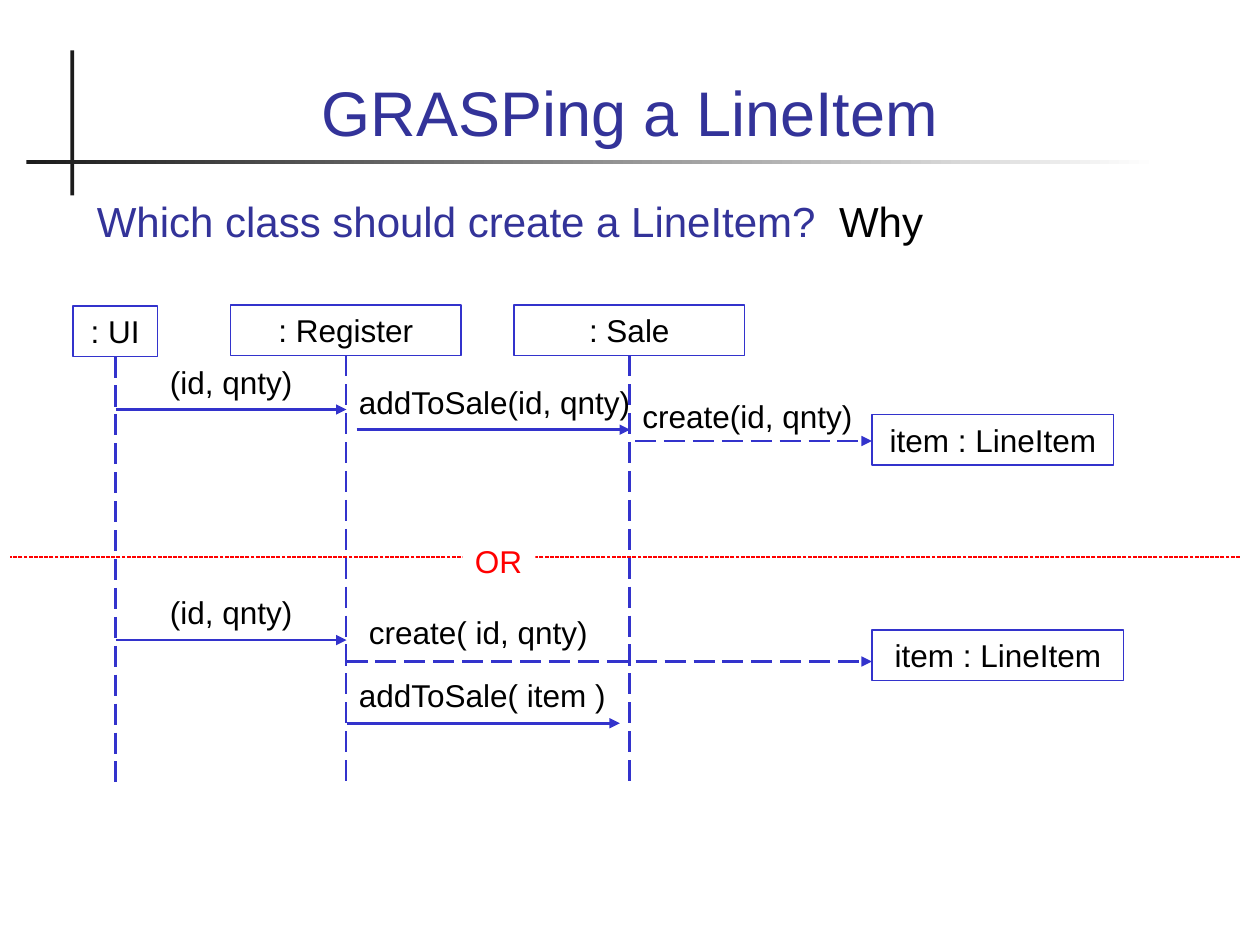
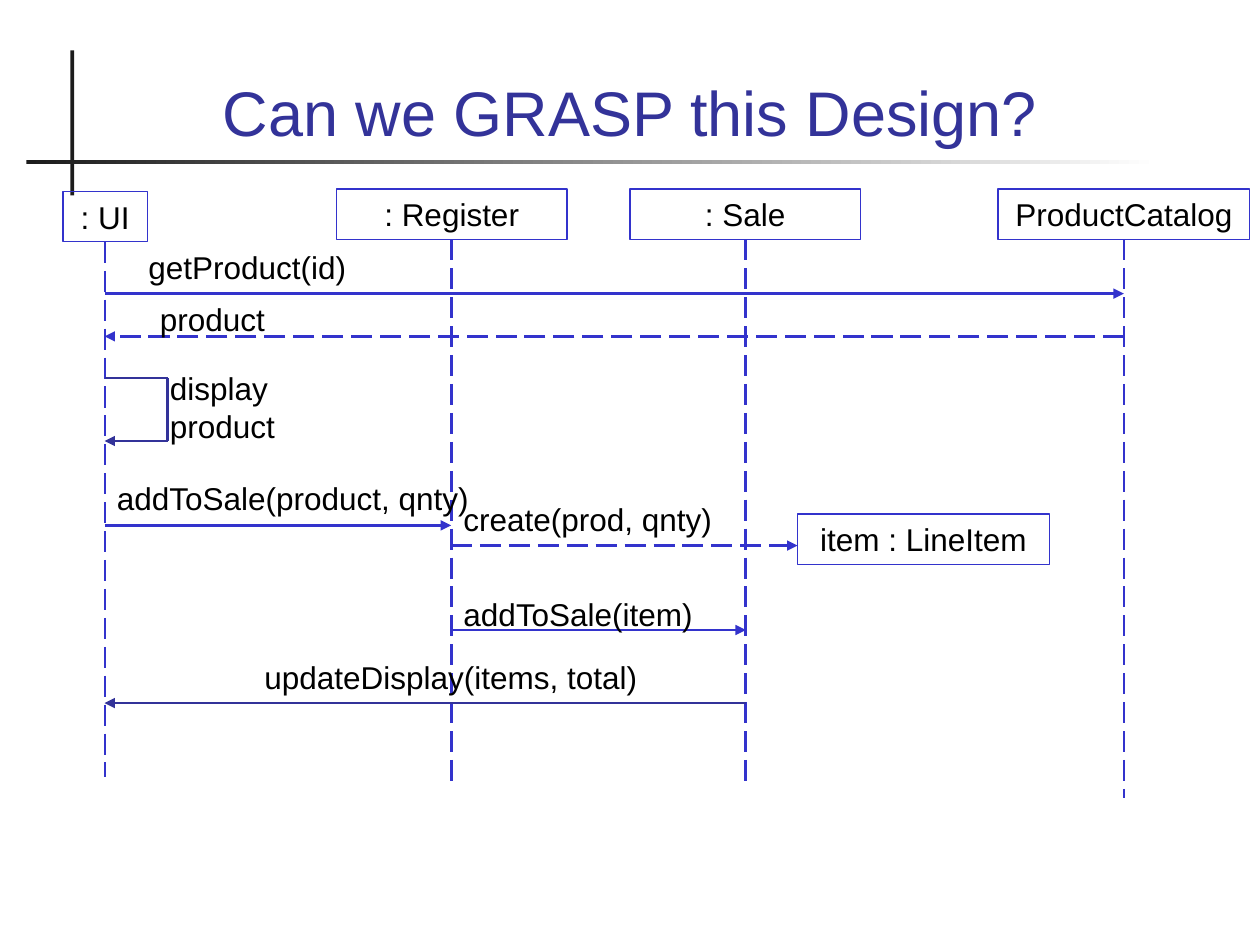
from lxml import etree
from pptx import Presentation
from pptx.dml.color import RGBColor
from pptx.enum.dml import MSO_LINE
from pptx.enum.shapes import MSO_CONNECTOR, MSO_SHAPE
from pptx.enum.text import MSO_ANCHOR, MSO_AUTO_SIZE, PP_ALIGN
from pptx.oxml.ns import qn
from pptx.util import Inches, Pt

NAVY = RGBColor(0x33, 0x33, 0x99)
BLUE = RGBColor(0x33, 0x33, 0xCC)
RED = RGBColor(0xFF, 0x00, 0x00)
BLACK = RGBColor(0x00, 0x00, 0x00)
WHITE = RGBColor(0xFF, 0xFF, 0xFF)
CHARCOAL = RGBColor(0x1C, 0x1C, 0x1C)

LEFT, CENTER = PP_ALIGN.LEFT, PP_ALIGN.CENTER
SOLID, DASH, FINE_DASH = MSO_LINE.SOLID, MSO_LINE.LONG_DASH, MSO_LINE.SQUARE_DOT
RECTANGLE, STRAIGHT = MSO_SHAPE.RECTANGLE, MSO_CONNECTOR.STRAIGHT
FONT = "Arial"
BOX_HEIGHT = 0.4

DIAGRAMS = [
    {
        "title": "GRASPing a LineItem",
        # text, left, top, width, end of lifeline
        "participants": [
            (": Register", 1.83, 2.42, 1.83, 6.23),
            (": Sale", 4.08, 2.42, 1.83, 6.24),
            (": UI", 0.58, 2.43, 0.67, 6.25),
        ],
        # text, left, top, width
        "created_items": [
            ("item : LineItem", 6.92, 3.29, 1.92),
            ("item : LineItem", 6.92, 5, 2),
        ],
        # start x, end x, y, dash, colour
        "messages": [
            (0.92, 2.75, 3.25, SOLID, BLUE),
            (2.83, 5, 3.41, SOLID, BLUE),
            (5.04, 6.92, 3.5, DASH, BLUE),
            (0.92, 2.75, 5.08, SOLID, BLUE),
            (2.75, 6.92, 5.25, DASH, BLUE),
            (2.75, 4.92, 5.74, SOLID, BLUE),
        ],
        # text, left, top, width
        "labels": [
            ("(id, qnty)", 1.25, 2.83, 1.33),
            ("addToSale(id, qnty)", 2.75, 2.99, 2.42),
            ("create(id, qnty)", 5, 3.1, 2.08),
            ("(id, qnty)", 1.25, 4.66, 1.33),
            ("create( id, qnty)", 2.83, 4.82, 2.08),
            ("addToSale( item )", 2.75, 5.32, 2.42),
        ],
    },
    {
        "title": "Can we GRASP this Design?",
        "participants": [
            (": Register", 2.67, 1.5, 1.83, 6.25),
            (": Sale", 5, 1.5, 1.83, 6.25),
            ("ProductCatalog", 7.92, 1.5, 2, 6.33),
            (": UI", 0.5, 1.52, 0.67, 6.17),
        ],
        "created_items": [("item : LineItem", 6.33, 4.08, 2)],
        "messages": [
            (0.83, 8.92, 2.33, SOLID, BLUE),
            (8.92, 0.83, 2.67, DASH, BLUE),
            (1.33, 0.83, 3.5, SOLID, NAVY),
            (0.83, 3.58, 4.17, SOLID, BLUE),
            (3.58, 6.33, 4.33, DASH, BLUE),
            (3.58, 5.92, 5, SOLID, BLUE),
            (5.92, 0.83, 5.58, SOLID, NAVY),
        ],
        "labels": [
            ("getProduct(id)", 1.08, 1.92, 1.83),
            ("product", 1.17, 2.33, 1.08),
            ("display product", 1.25, 2.88, 1.08),
            ("addToSale(product, qnty)", 0.83, 3.75, 3.07),
            ("create(prod, qnty)", 3.58, 3.92, 2.25),
            ("addToSale(item)", 3.58, 4.67, 2.08),
            ("updateDisplay(items, total)", 2, 5.17, 3.58),
        ],
    },
]


def add_box(slide, text, left, top, width, height=BOX_HEIGHT, align=CENTER,
            size=18, color=BLACK, outline=None):
    """Add a rectangle with one line of text and, if given, an outline colour."""
    box = slide.shapes.add_shape(RECTANGLE, Inches(left), Inches(top),
                                 Inches(width), Inches(height))
    box.shadow.inherit = False
    box.fill.background()
    if outline is None:
        box.line.fill.background()
    else:
        box.line.color.rgb = outline
        box.line.width = Pt(0.75)
    frame = box.text_frame
    frame.word_wrap = True
    frame.vertical_anchor = MSO_ANCHOR.TOP
    if align == LEFT:
        frame.margin_right = 0
    paragraph = frame.paragraphs[0]
    paragraph.alignment = align
    run = paragraph.add_run()
    run.text = text
    run.font.name, run.font.size = FONT, Pt(size)
    run.font.color.rgb = color
    return box


def add_line(slide, x1, y1, x2, y2, color=BLUE, dash=SOLID, width=1.5, arrow=False):
    line = slide.shapes.add_connector(STRAIGHT, Inches(x1), Inches(y1),
                                      Inches(x2), Inches(y2))
    line.line.color.rgb = color
    line.line.width = Pt(width)
    line.line.dash_style = dash
    if arrow:
        etree.SubElement(line.line._get_or_add_ln(), qn("a:tailEnd"), type="triangle")
    etree.SubElement(line._element.spPr, qn("a:effectLst"))


prs = Presentation()
prs.slide_width, prs.slide_height = Inches(10), Inches(7.5)
title_only = prs.slide_layouts[5]

slides = []
for diagram in DIAGRAMS:
    slide = prs.slides.add_slide(title_only)
    slides.append(slide)

    upright = add_box(slide, "", 0.56, 0.4, 0.03, 1.15)
    upright.fill.solid()
    upright.fill.fore_color.rgb = CHARCOAL
    rule = add_box(slide, "", 0.21, 1.27, 8.99, 0.03)
    rule.fill.gradient()
    rule.fill.gradient_angle = 0
    for stop, color in zip(rule.fill.gradient_stops, (CHARCOAL, WHITE)):
        stop.color.rgb = color

    title = slide.shapes.title
    title.left, title.top = Inches(0.67), Inches(0.28)
    title.width, title.height = Inches(8.66), Inches(0.95)
    title.text_frame.text = diagram["title"]
    title.text_frame.auto_size = MSO_AUTO_SIZE.NONE
    title.text_frame.vertical_anchor = MSO_ANCHOR.BOTTOM
    heading = title.text_frame.paragraphs[0]
    heading.alignment = CENTER
    heading.font.name, heading.font.size = FONT, Pt(36)
    heading.font.color.rgb = NAVY

    for name, left, top, width, end in diagram["participants"]:
        add_box(slide, name, left, top, width, outline=BLUE)
        center = left + width / 2
        add_line(slide, center, top + BOX_HEIGHT, center, end, dash=DASH)
    for name, left, top, width in diagram["created_items"]:
        add_box(slide, name, left, top, width, outline=BLUE)
    for start, end, y, dash, color in diagram["messages"]:
        add_line(slide, start, y, end, y, color, dash, arrow=True)
    for text, left, top, width in diagram["labels"]:
        height = 0.7 if text == "display product" else BOX_HEIGHT
        add_box(slide, text, left, top, width, height, LEFT)

line_item, design = slides

# Question and divider between the two alternatives
question = add_box(line_item, "Which class should create a LineItem?",
                   0.67, 1.5, 8.66, 0.67, LEFT, 24, NAVY)
why = question.text_frame.paragraphs[0].add_run()
why.text = "  Why"
why.font.name, why.font.size = FONT, Pt(24)
why.font.color.rgb = BLACK
add_line(line_item, 9.84, 4.42, 0.08, 4.42, RED, FINE_DASH, 0.75)
alternative = add_box(line_item, "OR", 3.67, 4.25, 0.58, align=LEFT, color=RED)
alternative.fill.solid()
alternative.fill.fore_color.rgb = WHITE

# Outward part of the call that the UI makes to itself
add_line(design, 0.83, 3, 1.33, 3, NAVY)
add_line(design, 1.33, 3, 1.33, 3.5, NAVY)

prs.save("out.pptx")
